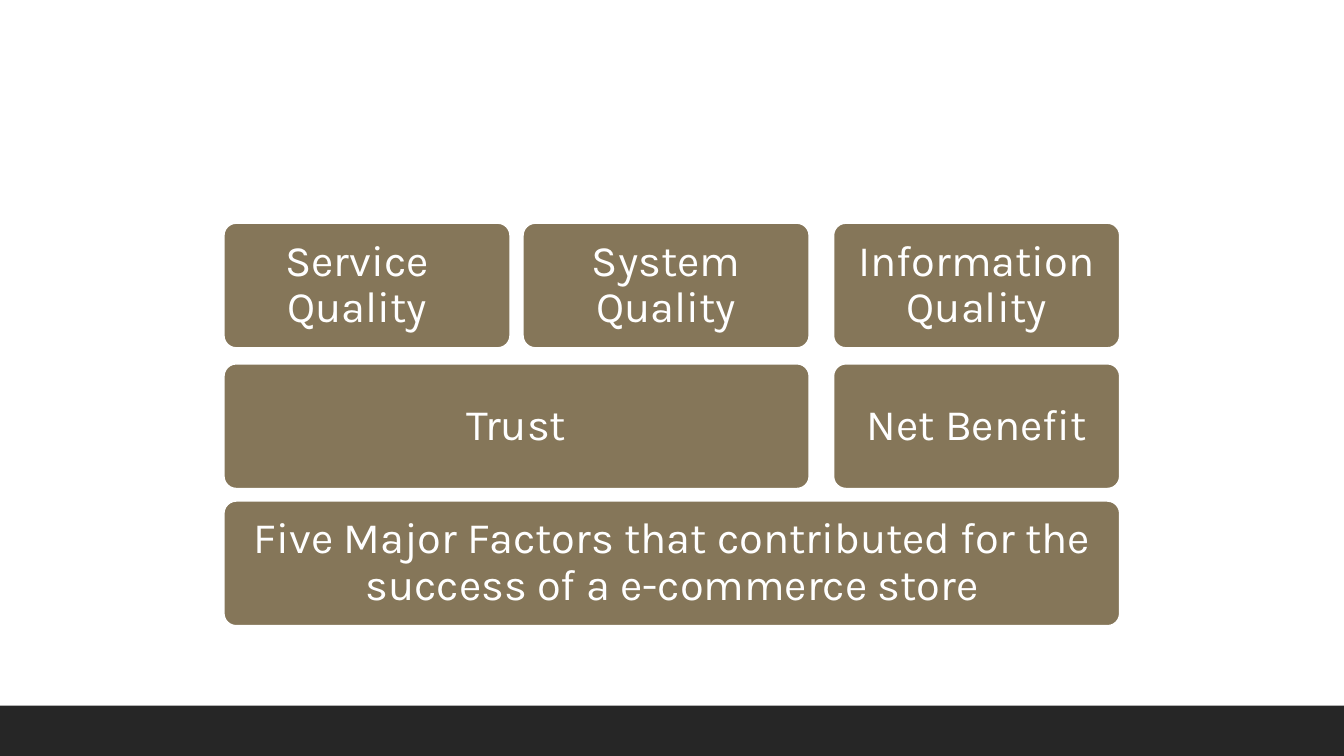
from pptx import Presentation
from pptx.dml.color import RGBColor
from pptx.enum.shapes import MSO_SHAPE
from pptx.enum.text import MSO_ANCHOR, PP_ALIGN
from pptx.util import Pt

SLIDE_W, SLIDE_H, FOOTER_H = 960, 540, 36
WHITE, BROWN, DARK = "FFFFFF", "857659", "262626"

COLUMNS = [159.84, 373.5, 595.3]
ROWS = [159.3, 259.8, 357.8]
BOX_W, BOX_H = 204.6, 89.3
INSET = 12

# text, row, first column, last column, extra right inset
FACTORS = [
    ("Five Major Factors that contributed for the success of a e-commerce store", 2, 0, 2, 0),
    ("Trust", 1, 0, 1, 0),
    ("Service Quality", 0, 0, 0, 14),
    ("System Quality", 0, 1, 1, 0),
    ("Net Benefit", 1, 2, 2, 0),
    ("Information Quality", 0, 2, 2, 0),
]


def rgb(value):
    return RGBColor.from_string(value)


def add_block(s, kind, left, top, width, height, fill):
    sp = s.shapes.add_shape(kind, Pt(left), Pt(top), Pt(width), Pt(height))
    sp.shadow.inherit = False
    sp.fill.solid()
    sp.fill.fore_color.rgb = rgb(fill)
    sp.line.fill.background()
    return sp


def add_factor(s, text, row, first, last, extra):
    width = COLUMNS[last] + BOX_W - COLUMNS[first]
    sp = add_block(s, MSO_SHAPE.ROUNDED_RECTANGLE,
                   COLUMNS[first], ROWS[row], width, BOX_H, BROWN)
    sp.adjustments[0] = 0.1
    sp.line.color.rgb = rgb(WHITE)
    sp.line.width = Pt(1.25)

    tf = sp.text_frame
    tf.word_wrap = True
    tf.vertical_anchor = MSO_ANCHOR.MIDDLE
    tf.margin_left = tf.margin_top = tf.margin_bottom = Pt(INSET)
    tf.margin_right = Pt(INSET + extra)
    p = tf.paragraphs[0]
    p.alignment = PP_ALIGN.CENTER
    p.line_spacing = 0.9
    r = p.add_run()
    r.text = text
    r.font.name = "Karla"
    r.font.size = Pt(31)
    r.font.color.rgb = rgb(WHITE)


def main():
    prs = Presentation()
    prs.slide_width, prs.slide_height = Pt(SLIDE_W), Pt(SLIDE_H)
    s = prs.slides.add_slide(prs.slide_layouts[6])
    s.background.fill.solid()
    s.background.fill.fore_color.rgb = rgb(WHITE)
    add_block(s, MSO_SHAPE.RECTANGLE, 0, SLIDE_H - FOOTER_H, SLIDE_W, FOOTER_H, DARK)
    for factor in FACTORS:
        add_factor(s, *factor)
    prs.save("out.pptx")


if __name__ == "__main__":
    main()
